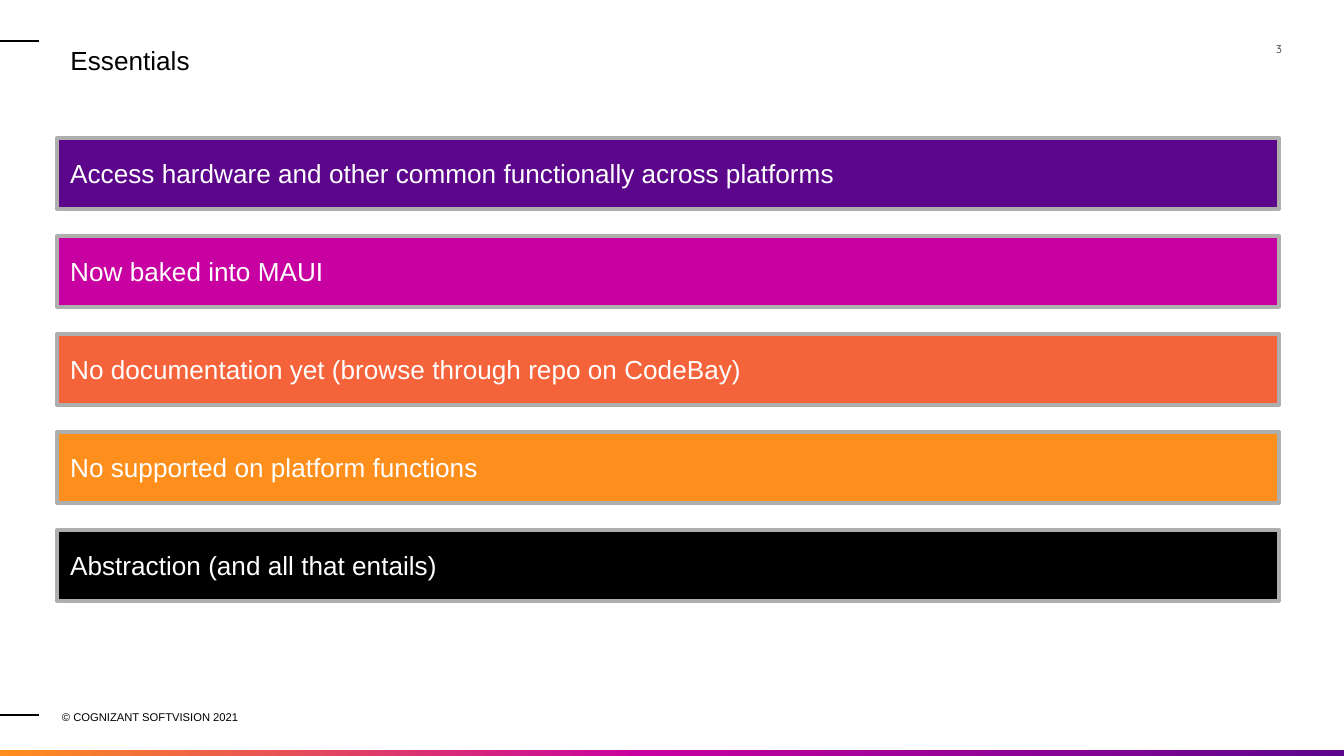
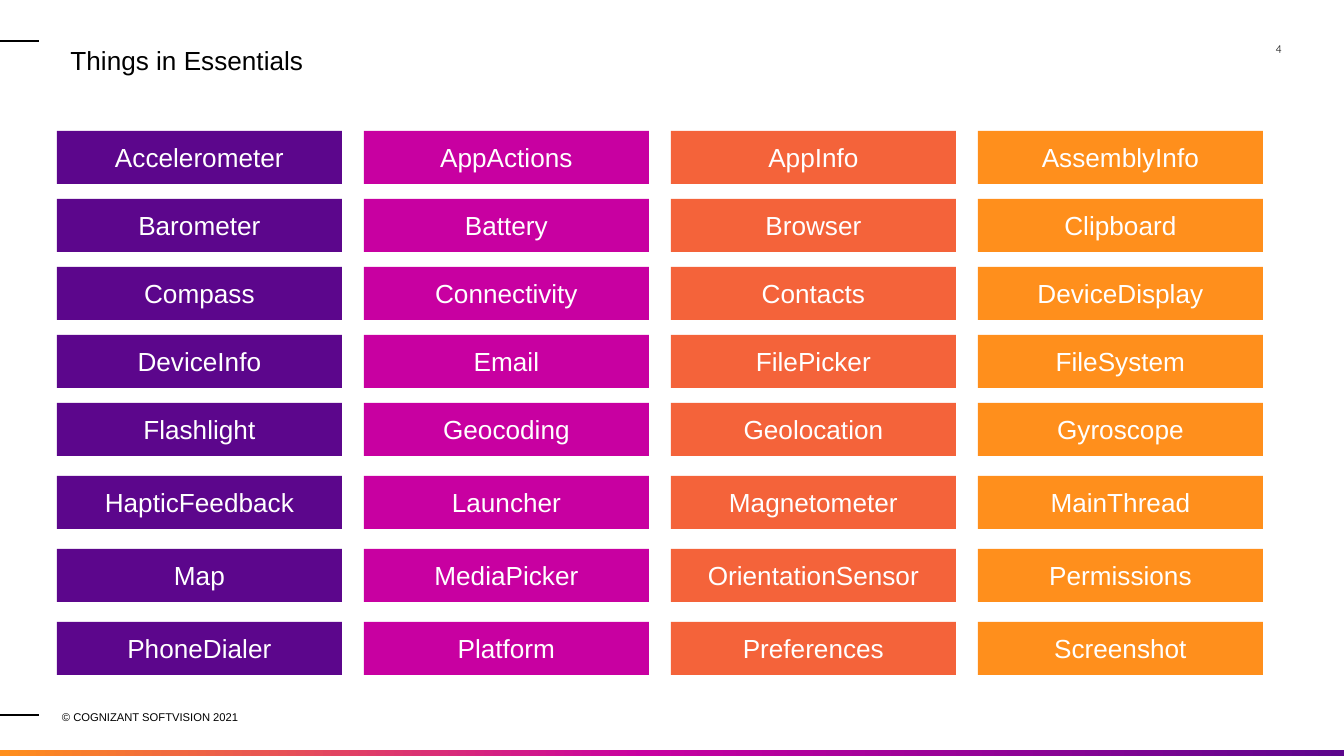
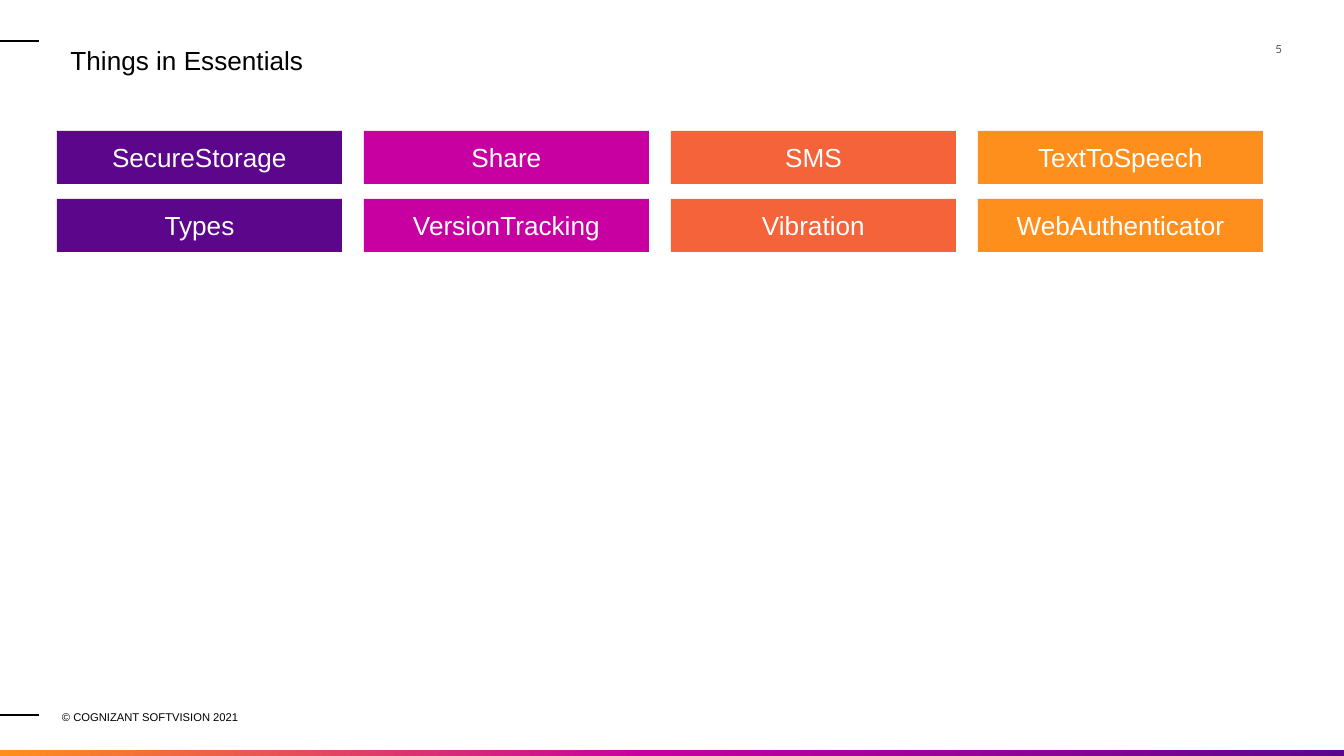
import copy
import itertools

import pptx
import pptx.dml.color
import pptx.enum.shapes
import pptx.enum.text
import pptx.oxml
import pptx.oxml.ns
import pptx.util

RGBColor = pptx.dml.color.RGBColor
ALIGN = pptx.enum.text.PP_ALIGN
ANCHOR = pptx.enum.text.MSO_ANCHOR
RECTANGLE = pptx.enum.shapes.MSO_SHAPE.RECTANGLE

# Content
FOOTER = "© COGNIZANT SOFTVISION 2021"
FIRST_PAGE = 3
KEY_POINTS = [
    "Access hardware and other common functionally across platforms",
    "Now baked into MAUI",
    "No documentation yet (browse through repo on CodeBay)",
    "No supported on platform functions",
    "Abstraction (and all that entails)",
]
FEATURES = [
    ("Accelerometer", "AppActions", "AppInfo", "AssemblyInfo"),
    ("Barometer", "Battery", "Browser", "Clipboard"),
    ("Compass", "Connectivity", "Contacts", "DeviceDisplay"),
    ("DeviceInfo", "Email", "FilePicker", "FileSystem"),
    ("Flashlight", "Geocoding", "Geolocation", "Gyroscope"),
    ("HapticFeedback", "Launcher", "Magnetometer", "MainThread"),
    ("Map", "MediaPicker", "OrientationSensor", "Permissions"),
    ("PhoneDialer", "Platform", "Preferences", "Screenshot"),
]
MORE_FEATURES = [
    ("SecureStorage", "Share", "SMS", "TextToSpeech"),
    ("Types", "VersionTracking", "Vibration", "WebAuthenticator"),
]

# Colours and fonts
PURPLE = RGBColor(0x5C, 0x06, 0x8C)
MAGENTA = RGBColor(0xC8, 0x00, 0xA1)
CORAL = RGBColor(0xF4, 0x63, 0x3A)
ORANGE = RGBColor(0xFF, 0x8F, 0x1C)
BLACK = RGBColor(0x00, 0x00, 0x00)
WHITE = RGBColor(0xFF, 0xFF, 0xFF)
SILVER = RGBColor(0xAE, 0xAE, 0xAD)
CHARCOAL = RGBColor(0x21, 0x21, 0x21)
PALETTE = [PURPLE, MAGENTA, CORAL, ORANGE, BLACK]
BAND_STOPS = [(0, PURPLE), (0.52, MAGENTA), (1, ORANGE)]
BODY_FONT, NUMBER_FONT = "Arial", "Quicksand"

# Layout, in px
SLIDE_WIDTH, SLIDE_HEIGHT = 1344, 756
LEFT = 57
POINT_TOP, POINT_WIDTH, POINT_HEIGHT, POINT_PITCH = 138, 1222, 71, 98
CARD_TOP, CARD_WIDTH, CARD_HEIGHT, CARD_PITCH = 131, 285, 53, 307
ROW_STEPS = [68] * 4 + [73] * 3
TICK_LEVELS = [41, 715]
TICK_LENGTH = 39


def px(length):
    return pptx.util.Emu(round(length * 914400 / 134.4))


def box(*lengths):
    return [px(length) for length in lengths]


def write(shape, text, size, color, font=BODY_FONT, align=ALIGN.LEFT,
          anchor=ANCHOR.MIDDLE, inset=True):
    frame = shape.text_frame
    frame.text = text
    frame.word_wrap = True
    frame.auto_size = pptx.enum.text.MSO_AUTO_SIZE.NONE
    frame.vertical_anchor = anchor
    if not inset:
        frame.margin_left = frame.margin_right = 0
        frame.margin_top = frame.margin_bottom = 0
    paragraph = frame.paragraphs[0]
    paragraph.alignment = align
    paragraph.font.name = font
    paragraph.font.size = pptx.util.Pt(size)
    paragraph.font.color.rgb = color


def add_rectangle(slide, bounds):
    rectangle = slide.shapes.add_shape(RECTANGLE, *box(*bounds))
    rectangle.shadow.inherit = False
    rectangle.line.fill.background()
    return rectangle


def add_label(slide, bounds, text, fill, align):
    label = add_rectangle(slide, bounds)
    label.fill.solid()
    label.fill.fore_color.rgb = fill
    write(label, text, 14, WHITE, align=align)
    return label


def add_tick(slide, level):
    tick = slide.shapes.add_connector(
        pptx.enum.shapes.MSO_CONNECTOR.STRAIGHT, *box(0, level, TICK_LENGTH, level))
    tick.line.color.rgb = BLACK
    tick.line.width = pptx.util.Pt(1.5)
    tick.element.spPr.append(pptx.oxml.parse_xml(
        "<a:effectLst %s/>" % pptx.oxml.ns.nsdecls("a")))


def add_band(slide):
    band = add_rectangle(slide, (0, 750, SLIDE_WIDTH, 6))
    band.fill.gradient()
    band.fill.gradient_angle = 180
    stops = band.element.spPr.find(".//" + pptx.oxml.ns.qn("a:gsLst"))
    stops.insert(1, copy.deepcopy(stops[0]))
    for stop, (position, color) in zip(band.fill.gradient_stops, BAND_STOPS):
        stop.position = position
        stop.color.rgb = color


def add_page(deck, title, number):
    """Add a slide with the shared title, number, footer, ticks and band."""
    slide = deck.slides.add_slide(deck.slide_layouts[5])
    page_number = slide.shapes.add_textbox(*box(1202, 42, 80, 58))
    write(page_number, str(number), 6, CHARCOAL, NUMBER_FONT, ALIGN.RIGHT,
          ANCHOR.TOP, inset=False)
    footer = slide.shapes.add_textbox(*box(62, 706, 298, 21))
    write(footer, FOOTER, 6, BLACK, inset=False)
    for level in TICK_LEVELS:
        add_tick(slide, level)
    add_band(slide)

    heading = slide.shapes.title
    heading.left, heading.top, heading.width, heading.height = box(LEFT, 38, 1679, 79)
    write(heading, title, 14, BLACK, anchor=ANCHOR.TOP)
    return slide


def add_key_points(slide, points):
    for index, (point, color) in enumerate(zip(points, PALETTE)):
        top = POINT_TOP + index * POINT_PITCH
        bar = add_label(slide, (LEFT, top, POINT_WIDTH, POINT_HEIGHT),
                        point, color, ALIGN.LEFT)
        bar.line.color.rgb = SILVER
        bar.line.width = pptx.util.Pt(2)


def add_features(slide, rows):
    row_tops = itertools.accumulate([CARD_TOP] + ROW_STEPS)
    for top, row in zip(row_tops, rows):
        for column, (feature, color) in enumerate(zip(row, PALETTE)):
            left = LEFT + column * CARD_PITCH
            add_label(slide, (left, top, CARD_WIDTH, CARD_HEIGHT),
                      feature, color, ALIGN.CENTER)


PAGES = [
    ("Essentials", add_key_points, KEY_POINTS),
    ("Things in Essentials", add_features, FEATURES),
    ("Things in Essentials", add_features, MORE_FEATURES),
]


def main():
    deck = pptx.Presentation()
    deck.slide_width, deck.slide_height = box(SLIDE_WIDTH, SLIDE_HEIGHT)
    for number, (title, fill_page, content) in enumerate(PAGES, FIRST_PAGE):
        fill_page(add_page(deck, title, number), content)
    deck.save("out.pptx")


if __name__ == "__main__":
    main()
